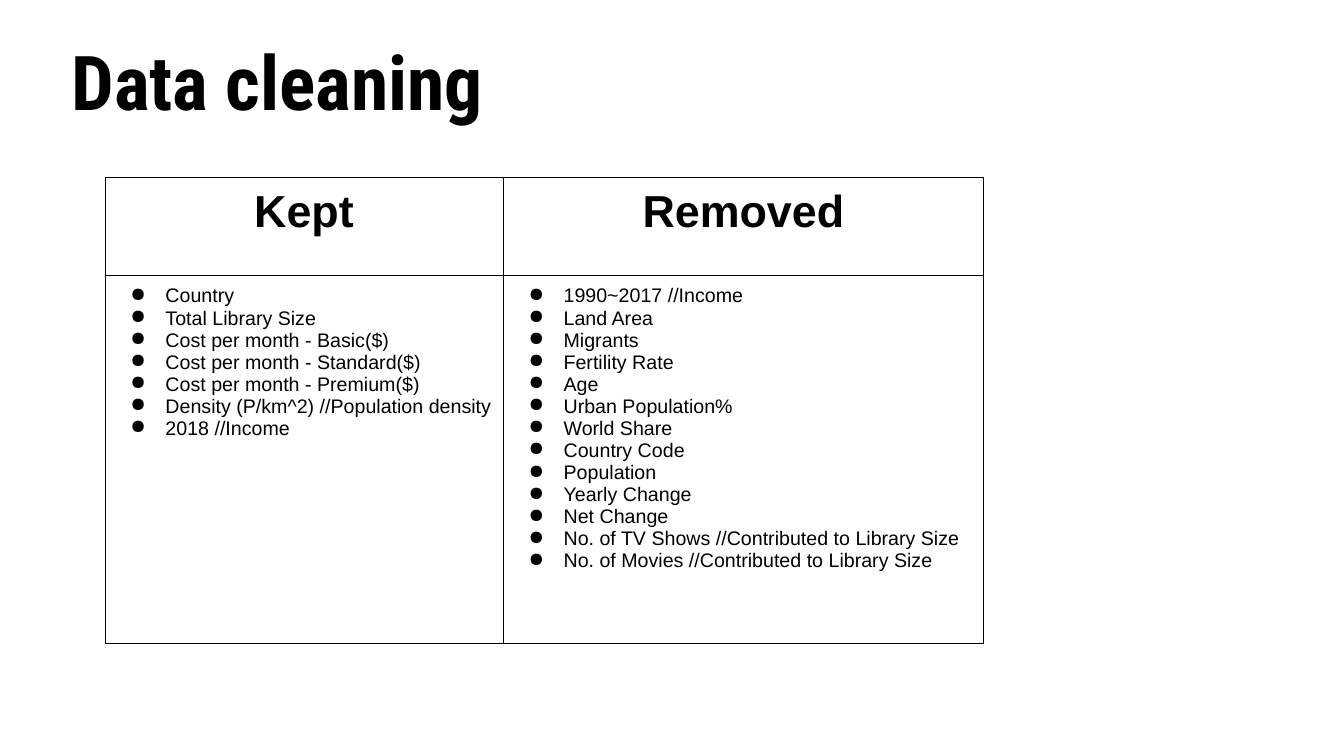
from lxml.etree import SubElement
from pptx import Presentation
from pptx.dml.color import RGBColor
from pptx.enum.text import MSO_ANCHOR as Anchor, PP_ALIGN as Align
from pptx.oxml import parse_xml
from pptx.oxml.ns import nsdecls, qn
from pptx.util import Pt

BLACK, WHITE = "000000", "FFFFFF"

KEPT = [
    "Country",
    "Total Library Size",
    "Cost per month - Basic($)",
    "Cost per month - Standard($)",
    "Cost per month - Premium($)",
    "Density (P/km^2) //Population density",
    "2018 //Income",
]
REMOVED = [
    "1990~2017 //Income",
    "Land Area",
    "Migrants",
    "Fertility Rate",
    "Age",
    "Urban Population%",
    "World Share",
    "Country Code",
    "Population",
    "Yearly Change",
    "Net Change",
    "No. of TV Shows //Contributed to Library Size",
    "No. of Movies //Contributed to Library Size",
]


def color(code):
    return RGBColor.from_string(code)


class Page:
    head = "Roboto Condensed"
    body = "Arial"

    def __init__(self, slide):
        self.slide = slide

    def style(self, para, font, size, bold=False):
        for run in para.runs:
            run.font.name = font
            run.font.size = Pt(size)
            run.font.bold = bold
            run.font.color.rgb = color(BLACK)

    def title(self, text, left, top, width, height):
        box = self.slide.shapes.add_textbox(Pt(left), Pt(top), Pt(width), Pt(height))
        frame = box.text_frame
        frame.word_wrap = True
        frame.vertical_anchor = Anchor.MIDDLE
        frame.text = text
        para = frame.paragraphs[0]
        para.line_spacing = 0.9
        self.style(para, self.head, 54, True)

    def bullet(self, para):
        props = para._p.get_or_add_pPr()
        props.set("marL", str(Pt(36)))
        props.set("indent", str(-Pt(25)))
        tint = SubElement(props, qn("a:buClr"))
        SubElement(tint, qn("a:srgbClr"), val=BLACK)
        SubElement(props, qn("a:buChar"), char="●")

    def border(self, cell):
        props = cell._tc.get_or_add_tcPr()
        for spot, side in enumerate("LRTB"):
            props.insert(spot, parse_xml(
                f'<a:ln{side} {nsdecls("a")} w="{Pt(0.75)}"><a:solidFill>'
                f'<a:srgbClr val="{BLACK}"/></a:solidFill></a:ln{side}>'))

    def cell(self, cell, lines, is_head):
        cell.margin_left = cell.margin_right = Pt(7.2)
        cell.margin_top = cell.margin_bottom = Pt(7.2)
        cell.fill.solid()
        cell.fill.fore_color.rgb = color(WHITE)
        self.border(cell)
        cell.text_frame.text = "\n".join(lines)
        for para in cell.text_frame.paragraphs:
            if is_head:
                para.alignment = Align.CENTER
            else:
                self.bullet(para)
            self.style(para, self.body, 32 if is_head else 14, is_head)

    def table(self, rows, left, top, widths, heights):
        """Draw rows of cells, each cell a list of lines; the first row is the head."""
        table = self.slide.shapes.add_table(
            len(heights), len(widths), Pt(left), Pt(top),
            Pt(sum(widths)), Pt(sum(heights))).table
        table.horz_banding = False
        for col, width in zip(table.columns, widths):
            col.width = Pt(width)
        for r, (row, height) in enumerate(zip(rows, heights)):
            table.rows[r].height = Pt(height)
            for c, lines in enumerate(row):
                self.cell(table.cell(r, c), lines, r == 0)


def main():
    deck = Presentation()
    deck.slide_width, deck.slide_height = Pt(960), Pt(540)
    page = Page(deck.slides.add_slide(deck.slide_layouts[6]))
    page.title("Data cleaning", 44, 9.5, 432, 104.5)
    page.table([[["Kept"], ["Removed"]], [KEPT, REMOVED]],
               75, 126.5, [284.4, 343.4], [70, 263])
    deck.save("out.pptx")


if __name__ == "__main__":
    main()
